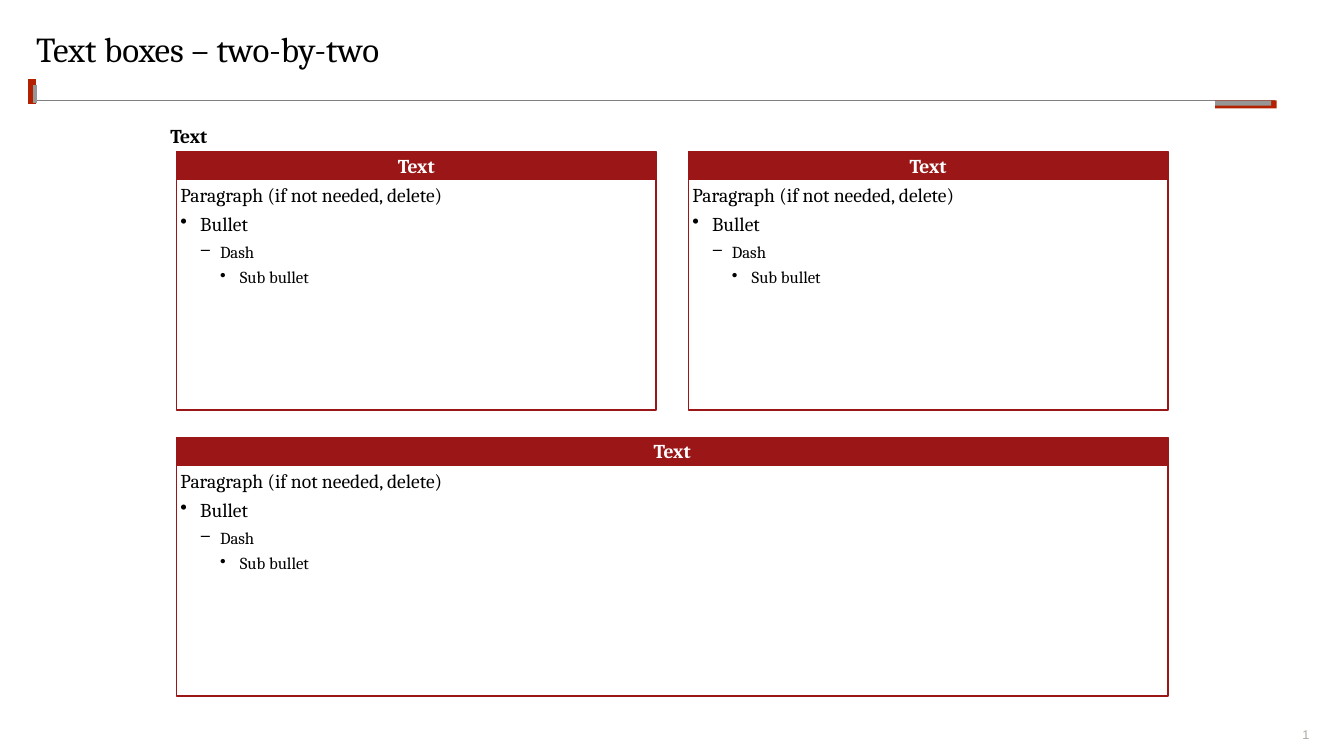
from lxml.etree import SubElement
from pptx import Presentation
from pptx.dml.color import RGBColor
from pptx.enum.shapes import MSO_CONNECTOR, MSO_SHAPE
from pptx.enum.text import MSO_ANCHOR, PP_ALIGN
from pptx.oxml.ns import qn
from pptx.util import Pt

BLACK = RGBColor(0x00, 0x00, 0x00)
WHITE = RGBColor(0xFF, 0xFF, 0xFF)
CRIMSON = RGBColor(0x9B, 0x17, 0x17)
ACCENT = RGBColor(0xB4, 0x21, 0x00)
RULE_GRAY = RGBColor(0x80, 0x80, 0x80)
MARK_GRAY = RGBColor(0x96, 0x96, 0x96)
NUMBER_GRAY = RGBColor(0xAD, 0xAB, 0xA1)

# Panel grid
LEFT, TOP = 126, 108.2
PANEL_W, WIDE_W = 342.7, 708.3
HEADER_H, BODY_H = 19.7, 165
COL_STEP, ROW_STEP = 365.6, 204.2
INSET = 2.88
INDENT = 14.15

# Level, bullet, size, text
BODY_LINES = [
    (0, None, 14, "Paragraph (if not needed, delete)"),
    (1, "•", 14, "Bullet"),
    (2, "‒", 12, "Dash"),
    (3, "•", 12, "Sub bullet"),
]


def set_frame(tf, inset, anchor, wrap=True):
    tf.margin_left = tf.margin_right = Pt(inset)
    tf.margin_top = tf.margin_bottom = Pt(inset)
    tf.vertical_anchor = anchor
    tf.word_wrap = wrap


def write(p, text, size, color=BLACK, bold=False, align=PP_ALIGN.LEFT, font="Cambria"):
    p.text = text
    p.alignment = align
    f = p.runs[0].font
    f.name, f.size, f.bold = font, Pt(size), bold
    f.color.rgb = color


def add_text(s, x, y, w, h, text, size, anchor=MSO_ANCHOR.TOP, wrap=True, **style):
    tf = s.shapes.add_textbox(Pt(x), Pt(y), Pt(w), Pt(h)).text_frame
    set_frame(tf, 0, anchor, wrap)
    write(tf.paragraphs[0], text, size, **style)
    return tf


def add_rect(s, x, y, w, h, fill=None, line=None):
    sp = s.shapes.add_shape(MSO_SHAPE.RECTANGLE, Pt(x), Pt(y), Pt(w), Pt(h))
    sp.shadow.inherit = False
    if fill is None:
        sp.fill.background()
    else:
        sp.fill.solid()
        sp.fill.fore_color.rgb = fill
    if line is None:
        sp.line.fill.background()
    else:
        sp.line.color.rgb = line
        sp.line.width = Pt(1)
    return sp


def add_line(s, x1, y1, x2, y2, color, width):
    cxn = s.shapes.add_connector(MSO_CONNECTOR.STRAIGHT, Pt(x1), Pt(y1), Pt(x2), Pt(y2))
    cxn.line.color.rgb = color
    cxn.line.width = Pt(width)
    SubElement(cxn._element.spPr, qn("a:effectLst"))


def set_bullet(p, level, char):
    p.level = level
    pPr = p._p.get_or_add_pPr()
    pPr.set("marL", str(Pt(INDENT * level)))
    pPr.set("indent", str(-Pt(INDENT)))
    SubElement(pPr, qn("a:buChar")).set("char", char)


def add_panel(s, x, y, w):
    # Header bar
    tf = add_rect(s, x, y, w, HEADER_H, CRIMSON, CRIMSON).text_frame
    set_frame(tf, INSET, MSO_ANCHOR.MIDDLE)
    write(tf.paragraphs[0], "Text", 14, WHITE, True, PP_ALIGN.CENTER)

    # Outlined body
    tf = add_rect(s, x, y + HEADER_H, w, BODY_H, line=CRIMSON).text_frame
    set_frame(tf, INSET, MSO_ANCHOR.TOP)
    for i, (level, char, size, text) in enumerate(BODY_LINES):
        p = tf.paragraphs[0] if i == 0 else tf.add_paragraph()
        write(p, text, size)
        p.space_before = Pt(4)
        if char:
            set_bullet(p, level, char)


def add_decoration(s):
    add_line(s, 26.6, 72, 910.8, 72, RULE_GRAY, 1)
    add_line(s, 22.9, 74.2, 22.9, 56.2, ACCENT, 6)
    add_line(s, 25.2, 73.4, 25.2, 60.5, MARK_GRAY, 3)
    add_rect(s, 868, 71.8, 44, 5.6, ACCENT)
    add_rect(s, 868, 71.8, 40, 3.6, MARK_GRAY)


def main():
    prs = Presentation()
    prs.slide_width, prs.slide_height = Pt(960), Pt(540)
    s = prs.slides.add_slide(prs.slide_layouts[6])

    # Page number, rule and corner marks
    add_text(s, 907.2, 519, 28, 11, "1", 9, MSO_ANCHOR.BOTTOM,
             color=NUMBER_GRAY, align=PP_ALIGN.RIGHT, font="Arial")
    add_decoration(s)

    # Title and label
    tf = add_text(s, 25.9, 23, 908, 48, "Text boxes – two-by-two", 25)
    tf.paragraphs[0].line_spacing = 0.9
    add_text(s, 121.7, 88.6, 26.6, 17.3, "Text", 14, wrap=False, bold=True)

    # Two panels above one wide panel
    for col in range(2):
        add_panel(s, LEFT + col * COL_STEP, TOP, PANEL_W)
    add_panel(s, LEFT, TOP + ROW_STEP, WIDE_W)

    prs.save("out.pptx")


if __name__ == "__main__":
    main()
